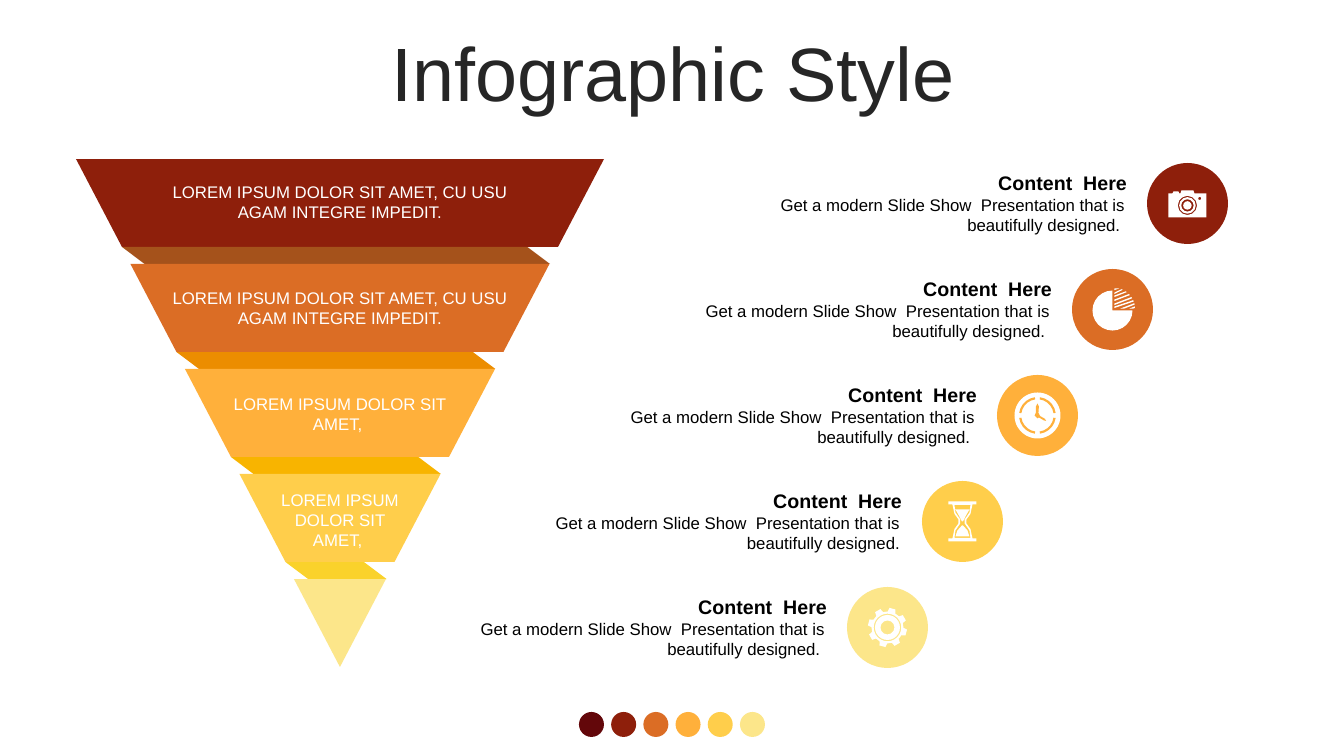
from math import cos, radians, sin

from lxml import etree
from pptx import Presentation
from pptx import util as u
from pptx.dml.color import RGBColor
from pptx.enum import shapes, text
from pptx.oxml import ns

COLORS = {
    "maroon": "63070A", "red": "8E1F0B", "orange": "DB6D25",
    "amber": "FFB03B", "yellow": "FFCE4B", "cream": "FCE68A",
    "fold1": "A5521B", "fold2": "EC8D00", "fold3": "F8B400", "fold4": "FAD22B",
    "title": "262626", "black": "000000", "white": "FFFFFF",
}
TIERS = ["red", "orange", "amber", "yellow", "cream"]
FOLDS = ["fold1", "fold2", "fold3", "fold4"]
CENTER, RIGHT = text.PP_ALIGN.CENTER, text.PP_ALIGN.RIGHT


class Canvas:
    """Slide style and the slide being drawn; lengths are in px."""
    FONT = "Arial"
    SCALE = 914400 / 100.8

    def __init__(self, deck):
        deck.slide_width, deck.slide_height = self.px(1344), self.px(756)
        self.shapes = deck.slides.add_slide(deck.slide_layouts[6]).shapes

    def px(self, length):
        return u.Emu(round(length * self.SCALE))

    def paint(self, shape, color):
        shape.shadow.inherit = False
        shape.fill.solid()
        shape.fill.fore_color.rgb = RGBColor.from_string(COLORS[color])
        shape.line.fill.background()
        return shape

    def preset(self, kind, left, top, width, height, color):
        frame = [self.px(length) for length in (left, top, width, height)]
        return self.paint(self.shapes.add_shape(kind, *frame), color)

    def circle(self, left, top, size, color):
        return self.preset(shapes.MSO_SHAPE.OVAL, left, top, size, size, color)

    def outline(self, contours, color, dx=0, dy=0, rings=()):
        """One filled shape; contours and rings inside others become holes."""
        builder = None
        for contour in contours:
            start, *rest = [(self.px(x + dx), self.px(y + dy)) for x, y in contour]
            if builder is None:
                builder = self.shapes.build_freeform(*start, scale=1.0)
            else:
                builder.move_to(*start)
            builder.add_line_segments(rest, close=True)
        shape = builder.convert_to_shape()
        outline_path = shape._element.find(".//" + ns.qn("a:path"))
        for x, y, radius in rings:
            self.add_ring(outline_path, self.px(x + dx + radius) - shape.left,
                          self.px(y + dy) - shape.top, self.px(radius))
        return self.paint(shape, color)

    def add_ring(self, outline_path, x, y, radius):
        move = etree.SubElement(outline_path, ns.qn("a:moveTo"))
        etree.SubElement(move, ns.qn("a:pt"), x=str(x), y=str(y))
        for start in ("0", "10800000"):
            etree.SubElement(outline_path, ns.qn("a:arcTo"), wR=str(radius),
                             hR=str(radius), stAng=start, swAng="10800000")
        etree.SubElement(outline_path, ns.qn("a:close"))

    def label(self, words, left, top, width, height, size, color="black",
              align=CENTER, bold=False, middle=True, grow=True, spacing=None):
        frame = [self.px(length) for length in (left, top, width, height)]
        box = self.shapes.add_textbox(*frame).text_frame
        box.word_wrap = True
        if grow:
            box.auto_size = text.MSO_AUTO_SIZE.SHAPE_TO_FIT_TEXT
        box.vertical_anchor = text.MSO_ANCHOR.MIDDLE if middle else text.MSO_ANCHOR.TOP
        box.text = words
        para = box.paragraphs[0]
        para.alignment = align
        para.line_spacing = spacing
        for span in para.runs:
            span.font.name, span.font.size, span.font.bold = self.FONT, u.Pt(size), bold
            span.font.color.rgb = RGBColor.from_string(COLORS[color])


# Icons: contours and rings in px from the badge centre
def polar(radius, degrees, x=0, y=0):
    return x + radius * cos(radians(degrees)), y + radius * sin(radians(degrees))


def arc(radius, start, end, steps):
    return [polar(radius, start + (end - start) * i / steps) for i in range(steps + 1)]


def mirrored(right):
    return right + [(-x, y) for x, y in reversed(right)]


def camera():
    body = [(-19, -10), (-15, -10), (-14, -12), (-9, -12), (-8, -10), (-7, -10),
            (-6, -13), (6, -13), (7, -10), (19, -10), (19, 14), (-19, 14)]
    lens = [(0, 2, radius) for radius in (9.6, 8.3, 6.2, 4.2)]
    return [body], [*lens, (12.3, -5, 1.5)]


def pie():
    stripes = [(0, -20, 81), (0, -16, 70), (0, -13, 57), (0, -9, 45),
               (0, -5, 34), (0, -2, 24), (6, 0, 15), (15, 0, 6)]
    contours = [[(0, 1)] + [(x, y + 1) for x, y in arc(20, 0, 270, 18)]]
    for x, y, angle in stripes:
        end = (x + 4, y) if x else (x, y + 1.5)
        stripe = [(x, y), polar(20.5, -angle), polar(20.5, 4 - angle), end]
        contours.append([(h + 2, v - 1) for h, v in stripe])
    return contours, []


def clock():
    gaps = [arc(18.4, a + 8, a + 82, 5) + arc(16.2, a + 82, a + 8, 5)
            for a in range(0, 360, 90)]
    hands = [(0, -12), (-1.5, -9), (-1.5, -3), (-2.8, 0), (0, 3), (1.5, 2),
             (6.5, 5), (8.7, 5.4), (7.5, 3.3), (2.8, 0.7), (1, -2.7), (1.5, -9)]
    return [*gaps, hands], []


def hourglass():
    def both_halves(upper):
        return mirrored(upper + [(x, -y) for x, y in reversed(upper)])

    frame = both_halves([(14, -20), (14, -17), (10, -17), (8, -7.5), (4, -2)])
    glass = both_halves([(8, -16.5), (7, -9), (2.2, -2)])
    top_sand = mirrored([(7, -12), (3, -5), (0.5, 0)])
    low_sand = mirrored([(0.5, 4), (5, 9), (7, 15)])
    return [frame, glass, top_sand, low_sand], []


def gear():
    teeth = [polar(radius, center + turn) for center in range(15, 375, 45)
             for radius, turn in ((16, -14), (19.7, -9), (19.7, 9), (16, 14))]
    return [teeth], [(0, 0, radius) for radius in (13.8, 12.5, 7)]


def main():
    deck = Presentation()
    canvas = Canvas(deck)

    # Palette dots
    for i, color in enumerate(["maroon", *TIERS]):
        canvas.circle(579 + (740 - 579) * i / 5, 712, 25, color)

    # Title
    canvas.label("Infographic Style", 35, 37, 1276, 80, 54, "title",
                 grow=False, spacing=0.9)

    # Funnel tiers and the folds between them
    middle, tier_height, fold_height, inset = 340, 88, 17, 46
    for i, color in enumerate(TIERS):
        half = (528 - 109 * i) / 2
        top = 159 + (tier_height + fold_height) * i
        bottom = top + tier_height
        canvas.outline([[(middle - half, top), (middle + half, top),
                         (middle + half - inset, bottom),
                         (middle - half + inset, bottom)]], color)
        if i < len(FOLDS):
            fold = canvas.preset(shapes.MSO_SHAPE.PARALLELOGRAM, middle - half + inset,
                                 bottom, 2 * half - 100, fold_height, FOLDS[i])
            fold.adjustments[0] = 1.33
            fold.rotation = 180
            fold._element.spPr.xfrm.set("flipH", "1")

    # Badges with icons and descriptions
    for i, (color, icon) in enumerate(zip(TIERS, (camera, pie, clock, hourglass, gear))):
        left, top = 1147 - 75 * i, 163 + 106 * i
        canvas.circle(left, top, 81, color)
        if icon is clock:
            canvas.circle(left + 17.5, top + 17.5, 46, "white")
        contours, rings = icon()
        canvas.outline(contours, color if icon is clock else "white",
                       left + 40.5, top + 40.5, rings)
        canvas.label("Content  Here", left - 407, top + 3, 397, 34, 14,
                     align=RIGHT, bold=True)
        ending = "" if icon is hourglass else " "
        canvas.label("Get a modern Slide Show  Presentation that is "
                     "beautifully designed." + ending,
                     left - 407, top + 27, 395, 50, 12, align=RIGHT, middle=False)

    # Funnel wording
    long_words = "LOREM IPSUM DOLOR SIT AMET, CU USU AGAM INTEGRE IMPEDIT."
    short_words = "LOREM IPSUM DOLOR SIT AMET, "
    wording = [(long_words, 358, 50), (long_words, 358, 50),
               (short_words, 260, 50), (short_words, 151, 72)]
    for i, (words, width, height) in enumerate(wording):
        canvas.label(words, middle - width / 2, 202 + 106 * i - height / 2,
                     width, height, 12, "white")

    deck.save("out.pptx")


if __name__ == "__main__":
    main()
